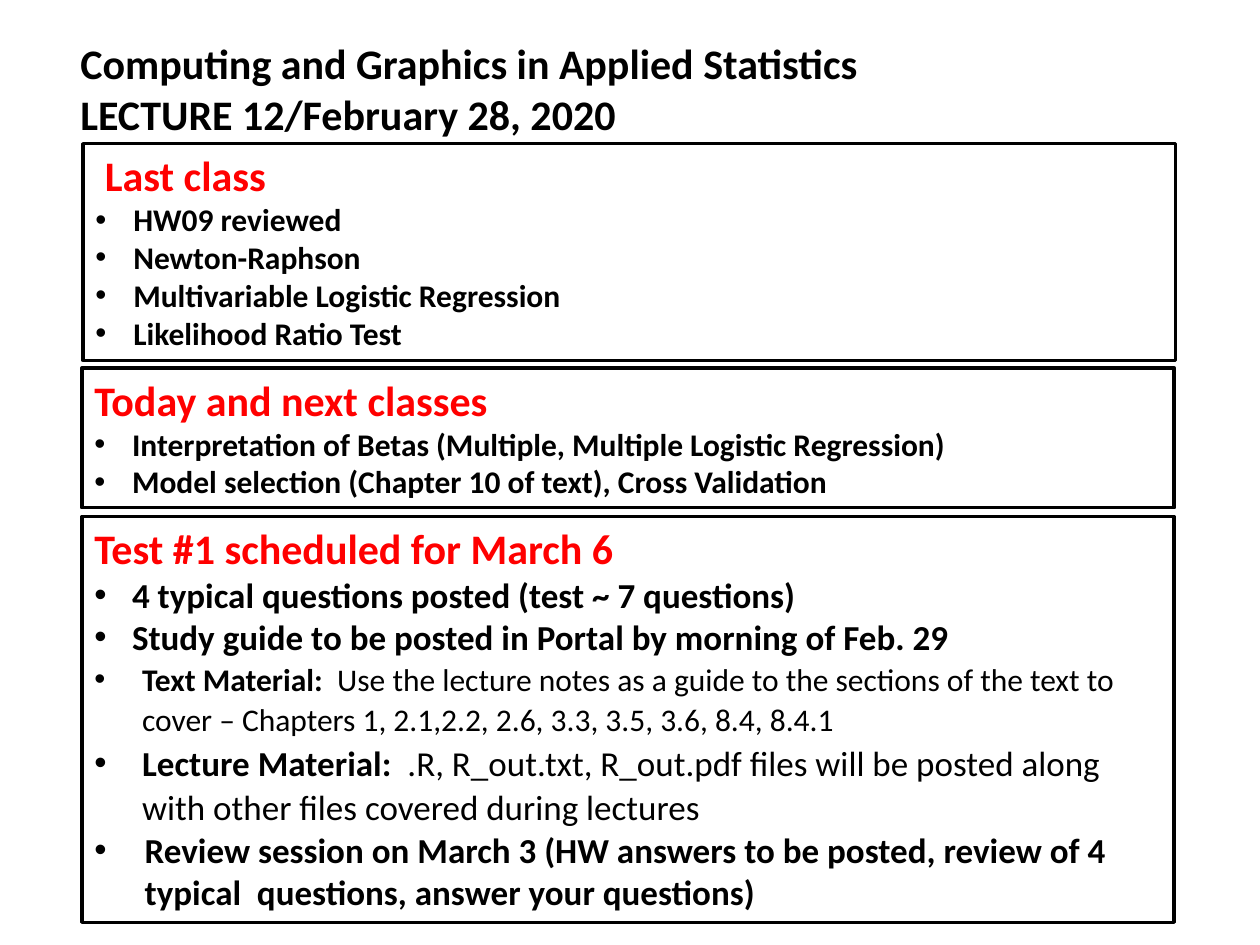
from pptx import Presentation
from pptx.util import Inches, Pt
from pptx.dml.color import RGBColor
from pptx.enum import shapes, text
from lxml import etree

INK = {"black": "000000", "red": "FF0000", "white": "FFFFFF"}
HUE = {k: RGBColor.from_string(v) for k, v in INK.items()}

deck = Presentation()
deck.slide_width, deck.slide_height = Inches(10), Inches(7.5)
page = deck.slides.add_slide(deck.slide_layouts[6])


def write(frame, row, runs, size, hue="black", indent=0, space=None):
    para = frame.paragraphs[0] if row == 0 else frame.add_paragraph()
    para.alignment = text.PP_ALIGN.LEFT
    if space:
        para.line_spacing = space
    if indent:
        props = para._p.get_or_add_pPr()
        props.set("marL", str(Inches(indent)))
        props.set("indent", str(-Inches(indent)))
        ns = "{http://schemas.openxmlformats.org/drawingml/2006/main}"
        etree.SubElement(props, ns + "buFont").set("typeface", "Arial")
        etree.SubElement(props, ns + "buChar").set("char", "•")
    for words, bold in runs:
        run = para.add_run()
        run.text = words
        run.font.name = "Calibri"
        run.font.size = Pt(size)
        run.font.bold = bold
        run.font.color.rgb = HUE[hue]


head = page.shapes.add_textbox(Inches(0.54), Inches(0.25), Inches(8), Inches(1.31))
head.text_frame.word_wrap = True
titles = ["Computing and Graphics in Applied Statistics", "LECTURE 12/February 28, 2020"]
for row, words in enumerate(titles):
    write(head.text_frame, row, [(words, True)], 24)

panels = [
    (0.66, 1.14, 1.72, " Last class", [
        ([(words, True)], 18, 0.3, None) for words in (
            "HW09 reviewed", "Newton-Raphson",
            "Multivariable Logistic Regression", "Likelihood Ratio Test")]),
    (0.65, 2.92, 1.11, "Today and next classes", [
        ([(words, True)], 18, 0.3, None) for words in (
            "Interpretation of Betas (Multiple, Multiple Logistic Regression)",
            "Model selection (Chapter 10 of text), Cross Validation")]),
    (0.65, 4.1, 3.22, "Test #1 scheduled for March 6", [
        ([("4 typical questions posted (test ~ 7 questions)", True)], 20, 0.3, None),
        ([("Study guide to be posted in Portal by morning of Feb. 29", True)], 20, 0.3, None),
        ([("Text Material:  ", True),
          ("Use the lecture notes as a guide to the sections of the text to cover – "
           "Chapters 1, 2.1,2.2, 2.6, 3.3, 3.5, 3.6, 8.4, 8.4.1", False)], 18, 0.38, 1.07),
        ([("Lecture Material:  ", True),
          (".R, R_out.txt, R_out.pdf files will be posted along with other files "
           "covered during lectures", False)], 20, 0.38, 1.07),
        ([("Review session on March 3 (HW answers to be posted, review of 4 "
           "typical  questions, answer your questions)", True)], 20, 0.4, None)]),
]

for left, top, high, title, items in panels:
    box = page.shapes.add_shape(shapes.MSO_SHAPE.RECTANGLE, Inches(left), Inches(top),
                                Inches(8.67), Inches(high))
    box.shadow.inherit = False
    box.fill.solid()
    box.fill.fore_color.rgb = HUE["white"]
    box.line.color.rgb = HUE["black"]
    box.line.width = Pt(2)
    frame = box.text_frame
    frame.word_wrap = True
    frame.vertical_anchor = text.MSO_ANCHOR.TOP
    write(frame, 0, [(title, True)], 24, "red")
    for row, (runs, size, indent, space) in enumerate(items, 1):
        write(frame, row, runs, size, indent=indent, space=space)

deck.save("out.pptx")
